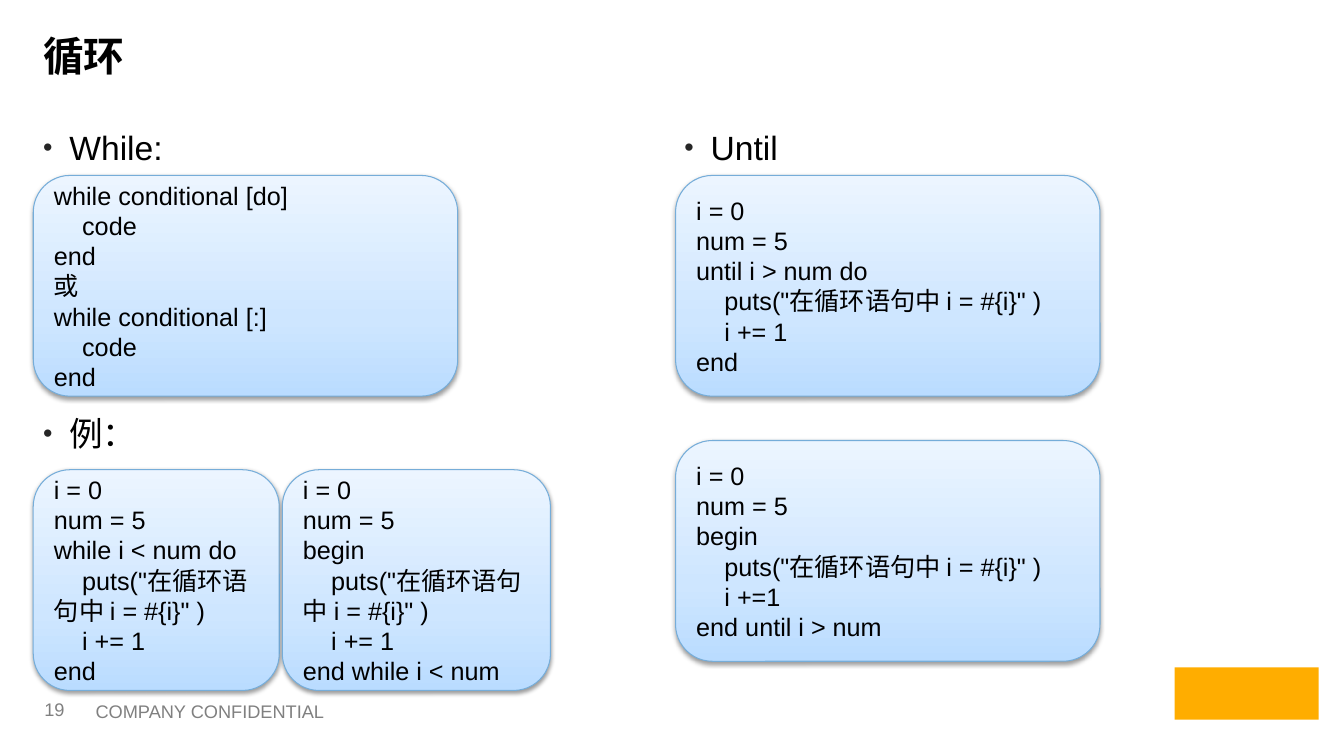
from dataclasses import dataclass

from lxml import etree
from pptx import Presentation
from pptx import util as u
from pptx.dml.color import RGBColor
from pptx.enum import shapes, text
from pptx.oxml import parse_xml
from pptx.oxml.ns import nsdecls, qn

FONT = "Arial"
BLACK, GRAY, BULLET, BORDER = "000000", "808080", "262626", "76ADD9"
BOX_GRADIENT = ((0, "BADCFF"), (35, "CEE6FF"), (100, "ECF5FF"))
LEFT, RIGHT = 0.33, 6.7
TOP_ROW, WIDE, BOX_HEIGHT = 1.74, 4.21, 2.19
CODE_INDENT = 0.28
BULLET_INDENT = 0.26
PUTS = '\tputs("在循环语句中 i = #{i}" )'


@dataclass(frozen=True)
class Label:
    content: str
    left: float
    top: float
    width: float
    height: float
    size: float
    color: str = BLACK
    bold: bool = False
    bullet: bool = False
    middle: bool = False
    inset: float = 0.1


@dataclass(frozen=True)
class CodeBox:
    left: float
    top: float
    width: float
    lines: tuple[str, ...]


LABELS = (
    Label("循环", LEFT, 0.31, 12.75, 0.72, 29, bold=True),
    Label("While:", LEFT, 1.26, 6.39, 0.45, 24, bullet=True),
    Label("例：", LEFT, 4.1, 6.39, 0.5, 24, bullet=True),
    Label("Until", 6.69, 1.26, 6.39, 0.45, 24, bullet=True),
    Label("19", 0.37, 6.89, 0.65, 0.3, 13, GRAY, middle=True, inset=0.07),
    Label("COMPANY CONFIDENTIAL", 0.85, 6.89, 3.98, 0.34, 13, GRAY, middle=True),
)

# A leading tab marks an indented line of code.
CODE_BOXES = (
    CodeBox(LEFT, 4.66, 2.44,
            ("i = 0", "num = 5", "while i < num do", PUTS, "\ti += 1", "end")),
    CodeBox(LEFT, TOP_ROW, WIDE,
            ("while conditional [do]", "\tcode", "end", "或",
             "while conditional [:]", "\tcode", "end")),
    CodeBox(2.8, 4.66, 2.66,
            ("i = 0", "num = 5", "begin", PUTS, "\ti += 1", "end while i < num")),
    CodeBox(RIGHT, TOP_ROW, WIDE,
            ("i = 0", "num = 5", "until i > num do", PUTS, "\ti += 1", "end")),
    CodeBox(RIGHT, 4.37, WIDE,
            ("i = 0", "num = 5", "begin", PUTS, "\ti +=1", "end until i > num")),
)


def rgb(color: str) -> RGBColor:
    return RGBColor.from_string(color)


def write(paragraph, content: str, *, size: float, color: str = BLACK,
          bold: bool = False) -> None:
    run = paragraph.add_run()
    run.text = content
    run.font.name = FONT
    run.font.size = u.Pt(size)
    run.font.bold = bold
    run.font.color.rgb = rgb(color)


def add_bullet(paragraph) -> None:
    properties = paragraph._p.get_or_add_pPr()
    properties.set("marL", str(u.Inches(BULLET_INDENT)))
    properties.set("indent", str(-u.Inches(BULLET_INDENT)))
    color = etree.SubElement(properties, qn("a:buClr"))
    etree.SubElement(color, qn("a:srgbClr"), val=BULLET)
    etree.SubElement(properties, qn("a:buSzPct"), val="80000")
    etree.SubElement(properties, qn("a:buFont"), typeface=FONT)
    etree.SubElement(properties, qn("a:buChar"), char="•")


def add_label(slide, label: Label) -> None:
    shape = slide.shapes.add_textbox(u.Inches(label.left), u.Inches(label.top),
                                     u.Inches(label.width), u.Inches(label.height))
    frame = shape.text_frame
    frame.word_wrap = True
    frame.margin_left = frame.margin_right = u.Inches(label.inset)
    frame.margin_top = frame.margin_bottom = 0
    frame.vertical_anchor = (text.MSO_ANCHOR.MIDDLE if label.middle
                             else text.MSO_ANCHOR.TOP)
    paragraph = frame.paragraphs[0]
    if label.bullet:
        add_bullet(paragraph)
    write(paragraph, label.content, size=label.size, color=label.color,
          bold=label.bold)


def style_box(shape) -> None:
    """Give the shape the blue gradient, thin border and soft shadow."""
    shape.line.color.rgb = rgb(BORDER)
    shape.line.width = u.Pt(0.75)
    stops = "".join(f'<a:gs pos="{position * 1000}"><a:srgbClr val="{color}"/></a:gs>'
                    for position, color in BOX_GRADIENT)
    properties = shape._element.spPr
    properties.find(qn("a:prstGeom")).addnext(parse_xml(
        f'<a:gradFill {nsdecls("a")} rotWithShape="1"><a:gsLst>{stops}</a:gsLst>'
        '<a:lin ang="16200000" scaled="0"/></a:gradFill>'))
    properties.find(qn("a:ln")).addnext(parse_xml(
        f'<a:effectLst {nsdecls("a")}><a:outerShdw blurRad="40000" dist="20000" '
        'dir="5400000" rotWithShape="0"><a:srgbClr val="000000">'
        '<a:alpha val="38000"/></a:srgbClr></a:outerShdw></a:effectLst>'))


def add_code_box(slide, box: CodeBox) -> None:
    shape = slide.shapes.add_shape(
        shapes.MSO_SHAPE.ROUNDED_RECTANGLE, u.Inches(box.left), u.Inches(box.top),
        u.Inches(box.width), u.Inches(BOX_HEIGHT))
    style_box(shape)
    frame = shape.text_frame
    frame.word_wrap = True
    frame.vertical_anchor = text.MSO_ANCHOR.MIDDLE
    for index, line in enumerate(box.lines):
        paragraph = frame.add_paragraph() if index else frame.paragraphs[0]
        paragraph.alignment = text.PP_ALIGN.LEFT
        if line.startswith("\t"):
            properties = paragraph._p.get_or_add_pPr()
            properties.set("marL", "0")
            properties.set("indent", str(u.Inches(CODE_INDENT)))
        write(paragraph, line.strip(), size=18)


def add_logo_block(slide) -> None:
    shape = slide.shapes.add_shape(shapes.MSO_SHAPE.RECTANGLE, u.Inches(11.65),
                                   u.Inches(6.62), u.Inches(1.43), u.Inches(0.52))
    shape.shadow.inherit = False
    shape.fill.solid()
    shape.fill.fore_color.rgb = rgb("FFAD00")
    shape.line.fill.background()


def main() -> None:
    presentation = Presentation()
    presentation.slide_width = u.Inches(13.33)
    presentation.slide_height = u.Inches(7.5)
    slide = presentation.slides.add_slide(presentation.slide_layouts[6])
    add_logo_block(slide)
    for label in LABELS:
        add_label(slide, label)
    for box in CODE_BOXES:
        add_code_box(slide, box)
    presentation.save("out.pptx")


if __name__ == "__main__":
    main()
